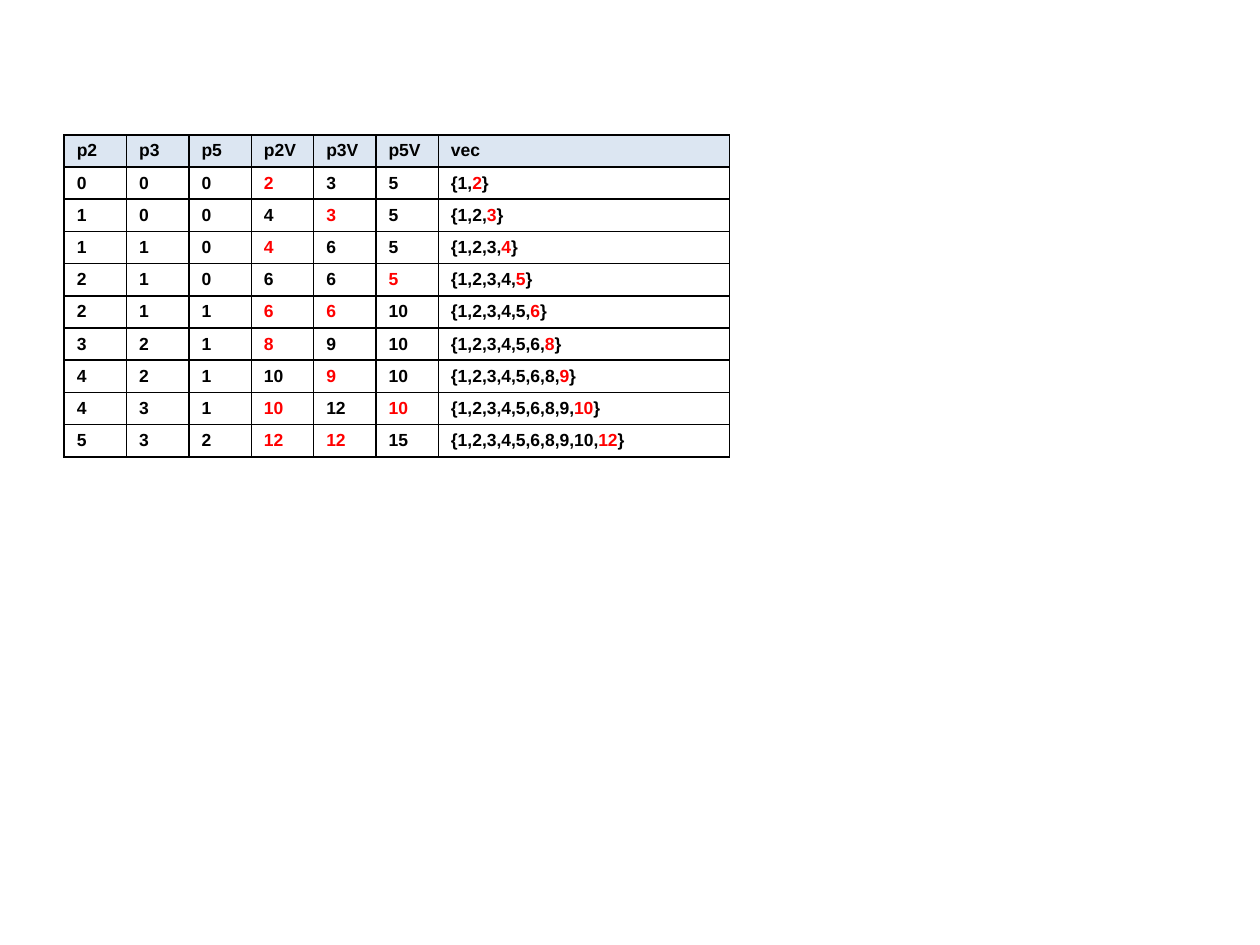
from dataclasses import dataclass

from lxml.etree import SubElement
from pptx import Presentation
from pptx.dml.color import RGBColor
from pptx.oxml.ns import qn
from pptx.slide import Slide
from pptx.util import Inches, Pt

FACTORS = (2, 3, 5)
HEADERS = ["p2", "p3", "p5", "p2V", "p3V", "p5V", "vec"]
STEPS = 9


def color(hex_value):
    return RGBColor.from_string(hex_value)


def add_text(paragraph, text, font="Arial", size=10, bold=True, fill="000000"):
    run = paragraph.add_run()
    run.text = text
    run.font.name = font
    run.font.size = Pt(size)
    run.font.bold = bold
    run.font.color.rgb = color(fill)


def set_borders(cell, fill, width):
    properties = cell._tc.get_or_add_tcPr()
    for side in ("lnL", "lnR", "lnT", "lnB"):
        line = SubElement(properties, qn(f"a:{side}"), w=str(Pt(width)))
        solid = SubElement(line, qn("a:solidFill"))
        SubElement(solid, qn("a:srgbClr"), val=fill)


@dataclass
class SlideBuilder:
    slide: Slide
    ink: str = "000000"
    highlight: str = "FF0000"
    header_fill: str = "DCE6F2"

    def table(self, rows, left, top, column_widths, row_height):
        """Draw rows of cells; each cell is a list of (text, highlighted) pairs."""
        frame = self.slide.shapes.add_table(
            len(rows), len(column_widths), left, top,
            sum(column_widths), row_height * len(rows))
        table = frame.table
        table.first_row = table.horz_banding = False
        for column, width in zip(table.columns, column_widths):
            column.width = width
        for row_index, row in enumerate(rows):
            for column_index, parts in enumerate(row):
                cell = table.cell(row_index, column_index)
                set_borders(cell, self.ink, 1)
                if row_index == 0:
                    cell.fill.solid()
                    cell.fill.fore_color.rgb = color(self.header_fill)
                else:
                    cell.fill.background()
                for text, highlighted in parts:
                    add_text(cell.text_frame.paragraphs[0], text,
                             fill=self.highlight if highlighted else self.ink)


def trace_rows():
    """Trace the merge of multiples of 2, 3 and 5, marking each chosen value."""
    rows = [[[(header, False)] for header in HEADERS]]
    sequence = [1]
    pointers = [0] * len(FACTORS)
    for _ in range(STEPS):
        candidates = [factor * sequence[pointer]
                      for factor, pointer in zip(FACTORS, pointers)]
        smallest = min(candidates)
        known = ",".join(map(str, sequence))
        rows.append(
            [[(str(pointer), False)] for pointer in pointers]
            + [[(str(value), value == smallest)] for value in candidates]
            + [[(f"{{{known},", False), (str(smallest), True), ("}", False)]])
        sequence.append(smallest)
        pointers = [pointer + (value == smallest)
                    for pointer, value in zip(pointers, candidates)]
    return rows


def main():
    presentation = Presentation()
    presentation.slide_width = Inches(10)
    presentation.slide_height = Inches(7.5)
    blank_layout = presentation.slide_layouts[6]
    builder = SlideBuilder(presentation.slides.add_slide(blank_layout))

    number_columns = len(HEADERS) - 1
    number_width = Inches(2.97) // number_columns
    builder.table(trace_rows(), Inches(0.51), Inches(1.07),
                  [number_width] * number_columns + [Inches(2.31)], Inches(0.25))
    presentation.save("out.pptx")


if __name__ == "__main__":
    main()
